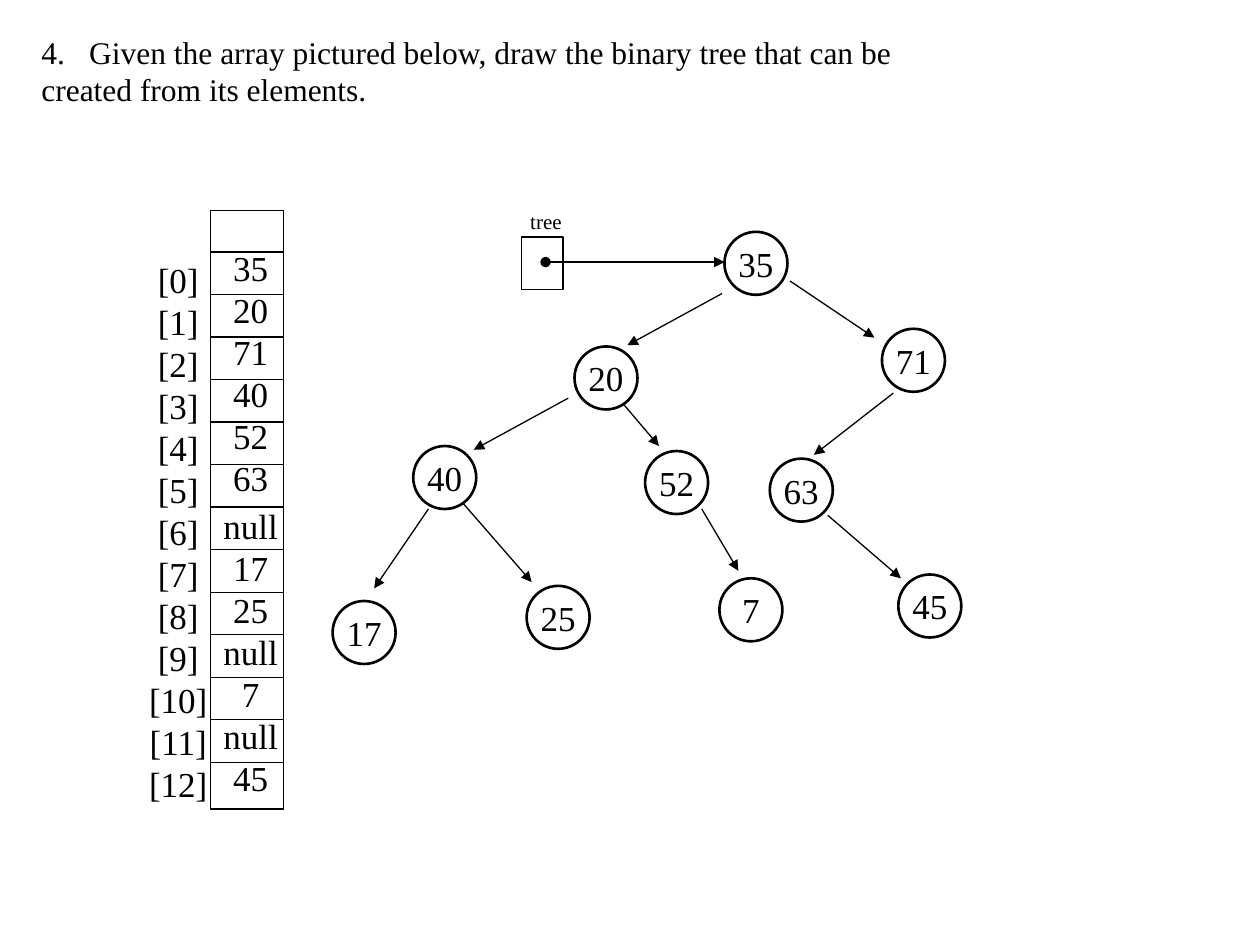
from dataclasses import dataclass

from lxml.etree import SubElement
from pptx import Presentation
from pptx.dml.color import RGBColor
from pptx.enum.shapes import MSO_CONNECTOR, MSO_SHAPE
from pptx.enum.text import MSO_ANCHOR, PP_ALIGN
from pptx.oxml.ns import qn
from pptx.util import Inches, Pt

COLORS = {"ink": "000000"}
FONT = "Times New Roman"
INK = RGBColor.from_string(COLORS["ink"])


@dataclass
class Node:
    value: str
    left: float
    top: float


@dataclass
class Line:
    x1: float
    y1: float
    x2: float
    y2: float
    head: str = ""
    tail: str = "triangle"


NODES = [
    Node("35", 5.75, 1.84), Node("20", 4.56, 2.75), Node("40", 3.28, 3.54),
    Node("71", 7, 2.61), Node("52", 5.12, 3.58), Node("17", 2.64, 4.77),
    Node("25", 4.18, 4.65), Node("7", 5.71, 4.59), Node("63", 6.11, 3.64),
    Node("45", 7.13, 4.56),
]
ARROWS = [
    Line(4.33, 2.08, 5.75, 2.08, head="oval"),
    Line(5.73, 2.33, 4.98, 2.74), Line(4.51, 3.16, 3.76, 3.57),
    Line(3.4, 4.04, 2.97, 4.67), Line(7.09, 3.12, 6.46, 3.61),
    Line(6.27, 2.23, 6.94, 2.68), Line(4.95, 3.21, 5.23, 3.54),
    Line(5.57, 4.04, 5.86, 4.53), Line(3.68, 4, 4.22, 4.62),
    Line(6.57, 4.09, 7.15, 4.59),
]
VALUES = ["35", "20", "71", "40", "52", "63", "null",
          "17", "25", "null", "7", "null", "45"]
ARRAY_LEFT, ARRAY_TOP, ARRAY_WIDTH, ARRAY_HEIGHT = 1.67, 1.67, 0.58, 4.75
FIRST_DIVIDER, ROW_HEIGHT = 2.0, 0.3375


def write(frame, lines: list[str], size: int, align=PP_ALIGN.LEFT) -> None:
    frame.word_wrap = False
    for index, line in enumerate(lines):
        para = frame.paragraphs[0] if index == 0 else frame.add_paragraph()
        para.text = line
        para.alignment = align
        para.line_spacing = Pt(size * 1.2)
        para.font.size = Pt(size)
        para.font.name = FONT
        para.font.color.rgb = INK


def add_text(page, left: float, top: float, width: float, height: float,
             lines: list[str], size: int, align=PP_ALIGN.LEFT):
    box = page.shapes.add_textbox(Inches(left), Inches(top),
                                  Inches(width), Inches(height))
    write(box.text_frame, lines, size, align)
    return box


def add_outline(page, kind, left: float, top: float, width: float,
                height: float, weight: float = 0.75):
    shape = page.shapes.add_shape(kind, Inches(left), Inches(top),
                                  Inches(width), Inches(height))
    shape.shadow.inherit = False
    shape.fill.background()
    shape.line.color.rgb = INK
    shape.line.width = Pt(weight)
    return shape


def add_node(page, node: Node) -> None:
    circle = add_outline(page, MSO_SHAPE.OVAL, node.left, node.top, 0.5, 0.5, 1.5)
    circle.text_frame.vertical_anchor = MSO_ANCHOR.MIDDLE
    write(circle.text_frame, [node.value], 20, PP_ALIGN.CENTER)


def add_line(page, line: Line) -> None:
    connector = page.shapes.add_connector(
        MSO_CONNECTOR.STRAIGHT, Inches(line.x1), Inches(line.y1),
        Inches(line.x2), Inches(line.y2))
    connector.line.color.rgb = INK
    connector.line.width = Pt(0.75)
    stroke = connector.line._get_or_add_ln()
    for tag, kind in (("a:headEnd", line.head), ("a:tailEnd", line.tail)):
        if kind:
            SubElement(stroke, qn(tag), type=kind)
    SubElement(connector._element.spPr, qn("a:effectLst"))


def add_question(page) -> None:
    box = add_text(page, 0.23, 0.21, 7.02, 0.71, [
        "Given the array pictured below, draw the binary tree that can be",
        "created from its elements."], 18)
    numbered = box.text_frame.paragraphs[0]._p.get_or_add_pPr()
    numbered.set("marL", str(Inches(0.38)))
    numbered.set("indent", str(-Inches(0.38)))
    SubElement(numbered, qn("a:buFont"), typeface=FONT)
    SubElement(numbered, qn("a:buAutoNum"), type="arabicPeriod", startAt="4")
    # Bullet elements come before the default run properties
    numbered.append(numbered.find(qn("a:defRPr")))


def add_array(page) -> None:
    add_outline(page, MSO_SHAPE.RECTANGLE, ARRAY_LEFT, ARRAY_TOP,
                ARRAY_WIDTH, ARRAY_HEIGHT)
    for row in range(len(VALUES)):
        y = FIRST_DIVIDER + row * ROW_HEIGHT
        add_line(page, Line(ARRAY_LEFT, y, ARRAY_LEFT + ARRAY_WIDTH, y, tail=""))
    indexes = [f"[{index}]" for index in range(len(VALUES))]
    add_text(page, 1.08, 2, 0.67, 4.48, indexes, 20, PP_ALIGN.CENTER)
    cells = add_text(page, 1.67, 1.91, 0.64, 4.48, VALUES, 20, PP_ALIGN.CENTER)
    first_null = VALUES.index("null")
    cells.text_frame.paragraphs[first_null].space_before = Pt(3)


def main() -> None:
    deck = Presentation()
    deck.slide_width, deck.slide_height = Inches(10), Inches(7.5)
    page = deck.slides.add_slide(deck.slide_layouts[6])

    add_question(page)
    add_array(page)

    # Tree and its root reference
    for node in NODES:
        add_node(page, node)
    add_outline(page, MSO_SHAPE.RECTANGLE, 4.14, 1.88, 0.33, 0.42)
    add_text(page, 4.11, 1.61, 0.45, 0.3, ["tree"], 12)
    for arrow in ARROWS:
        add_line(page, arrow)

    deck.save("out.pptx")


if __name__ == "__main__":
    main()
